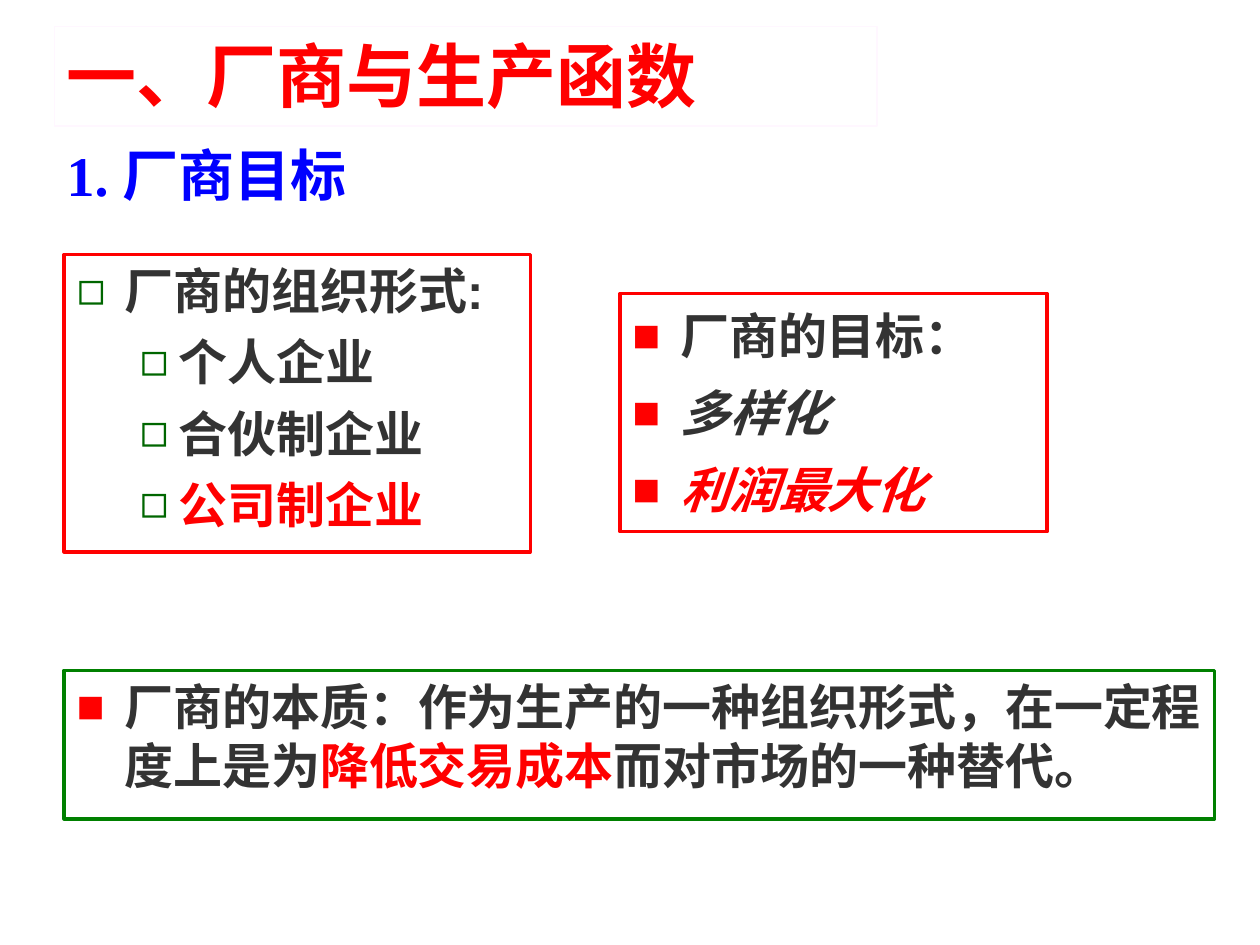
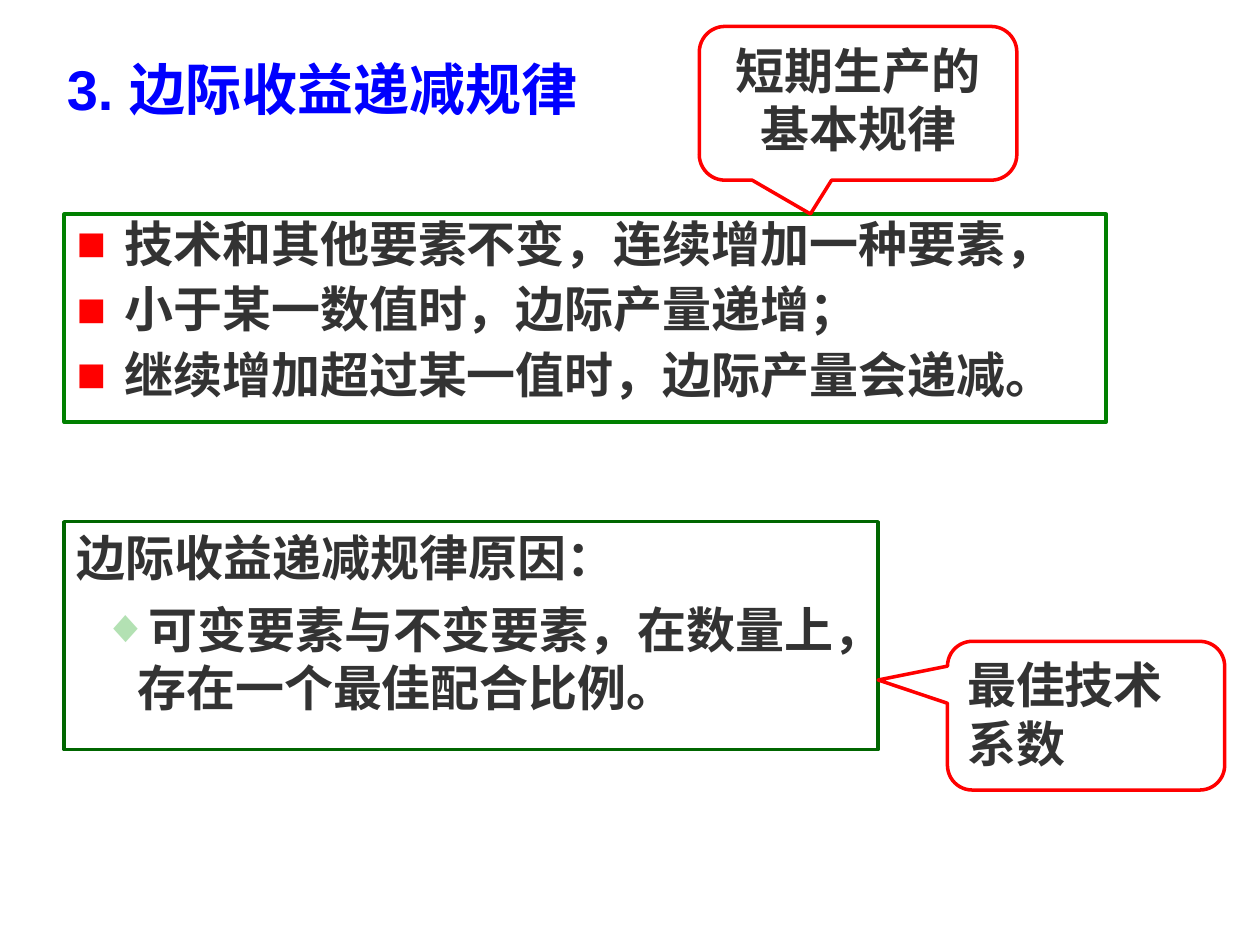
"""Build two slides on the firm, its goals and diminishing marginal returns."""
from dataclasses import dataclass

from lxml import etree
from pptx import Presentation
from pptx.dml.color import RGBColor
from pptx.enum.shapes import MSO_SHAPE
from pptx.enum.text import MSO_ANCHOR, MSO_AUTO_SIZE, PP_ALIGN
from pptx.oxml.ns import qn
from pptx.util import Inches, Pt

RED = RGBColor(0xFF, 0x00, 0x00)
BLUE = RGBColor(0x00, 0x00, 0xFF)
GREEN = RGBColor(0x00, 0x80, 0x00)
DARK_GREEN = RGBColor(0x00, 0x66, 0x00)
PALE_GREEN = RGBColor(0xB3, 0xE1, 0xB3)
CHARCOAL = RGBColor(0x33, 0x33, 0x33)
WHITE = RGBColor(0xFF, 0xFF, 0xFF)
FAINT_PINK = RGBColor(0xFF, 0xF7, 0xFF)

SANS = "Arial"
SERIF = "Times New Roman"
CHINESE = "Noto Sans CJK SC"

RECTANGLE = MSO_SHAPE.RECTANGLE
CALLOUT = MSO_SHAPE.ROUNDED_RECTANGULAR_CALLOUT
TOP, BOTTOM = MSO_ANCHOR.TOP, MSO_ANCHOR.BOTTOM
LEFT, CENTER = PP_ALIGN.LEFT, PP_ALIGN.CENTER
NO_AUTOFIT = MSO_AUTO_SIZE.NONE

TITLE_LEFT = 0.43
BOX_LEFT = 0.51


@dataclass
class Bullet:
    """A bullet character with its colour, indents and relative size."""
    character: str
    color: RGBColor
    left: float = 0.38
    hanging: float = 0.38
    percent: int = 95


@dataclass
class Line:
    """A paragraph made of (text, colour) pieces."""
    pieces: list
    bullet: Bullet = None
    level: int = 0
    italic: bool = False


HOLLOW = Bullet("◻", DARK_GREEN)
HOLLOW_INNER = Bullet("◻", DARK_GREEN, 0.81, 0.31)
SQUARE = Bullet("■", RED)
FULL_SQUARE = Bullet("■", RED, percent=100)
DIAMOND = Bullet("◆", PALE_GREEN, 0.48, 0.28)


def plain(text, bullet=None, color=CHARCOAL, **options):
    """Return a line of one colour."""
    return Line([(text, color)], bullet, **options)


class Deck:
    """Holds the shared style and the current slide."""

    def __init__(self):
        """Start an empty 4:3 presentation."""
        self.presentation = Presentation()
        self.presentation.slide_width = Inches(10)
        self.presentation.slide_height = Inches(7.5)
        self.slide = None

    def add_slide(self):
        """Add a title and content slide and make it current."""
        layout = self.presentation.slide_layouts[1]
        self.slide = self.presentation.slides.add_slide(layout)

    def place(self, shape, area):
        """Move a shape to left, top, width and height in inches."""
        shape.left, shape.top, shape.width, shape.height = map(Inches, area)

    def outline(self, shape, color, width=2):
        """Give a shape a white fill and a coloured line."""
        shape.fill.solid()
        shape.fill.fore_color.rgb = WHITE
        shape.line.color.rgb = color
        shape.line.width = Pt(width)

    def set_bullet(self, paragraph, bullet):
        """Set the indents and bullet of a paragraph."""
        properties = paragraph._p.get_or_add_pPr()
        properties.set("marL", str(Inches(bullet.left) if bullet else 0))
        properties.set("indent", str(-Inches(bullet.hanging) if bullet else 0))
        if bullet is None:
            etree.SubElement(properties, qn("a:buNone"))
            return
        color = etree.SubElement(properties, qn("a:buClr"))
        etree.SubElement(color, qn("a:srgbClr"), val=str(bullet.color))
        etree.SubElement(properties, qn("a:buSzPct"), val=str(bullet.percent * 1000))
        etree.SubElement(properties, qn("a:buFont"), typeface=SANS)
        etree.SubElement(properties, qn("a:buChar"), char=bullet.character)

    def set_lines(self, shape, lines, font, size=28, anchor=TOP, align=LEFT, spacing=1.0):
        """Fill a shape with formatted lines."""
        frame = shape.text_frame
        frame.word_wrap = True
        frame.auto_size = NO_AUTOFIT
        frame.vertical_anchor = anchor
        frame.margin_left = frame.margin_right = Inches(0.1)
        frame.margin_top = frame.margin_bottom = Inches(0.05)
        for index, line in enumerate(lines):
            paragraph = frame.add_paragraph() if index else frame.paragraphs[0]
            self.set_bullet(paragraph, line.bullet)
            paragraph.level = line.level
            paragraph.alignment = align
            paragraph.line_spacing = spacing
            paragraph.space_before = Pt(7 if index else 0)
            for text, color in line.pieces:
                run = paragraph.add_run()
                run.text = text
                run.font.name = font
                run.font.size = Pt(size)
                run.font.bold = True
                run.font.italic = line.italic
                run.font.color.rgb = color
                etree.SubElement(run._r.get_or_add_rPr(), qn("a:ea"), typeface=CHINESE)

    def title(self, text, area, size, color, anchor=TOP):
        """Fill the title placeholder and return it."""
        shape = self.slide.shapes.title
        self.place(shape, area)
        self.set_lines(shape, [plain(text, color=color)], SANS, size, anchor)
        return shape

    def body(self, lines, area, border, font):
        """Fill the body placeholder as a bordered list."""
        shape = self.slide.placeholders[1]
        self.place(shape, area)
        self.outline(shape, border)
        self.set_lines(shape, lines, font)

    def subtitle(self, text, area):
        """Add a blue section heading."""
        shape = self.slide.shapes.add_textbox(*map(Inches, area))
        self.set_lines(shape, [plain(text, color=BLUE)], SERIF, 32, BOTTOM)

    def box(self, lines, area, border, font=SERIF, kind=RECTANGLE, **options):
        """Add a bordered shape with text and return it."""
        shape = self.slide.shapes.add_shape(kind, *map(Inches, area))
        shape.shadow.inherit = False
        self.outline(shape, border)
        self.set_lines(shape, lines, font, **options)
        return shape

    def callout(self, text, area, tip, align=LEFT):
        """Add a red speech bubble whose tip is relative to its centre."""
        shape = self.box([plain(text)], area, RED, kind=CALLOUT, align=align)
        shape.adjustments[0], shape.adjustments[1] = tip


def build_firm_slide(deck):
    """Build the slide on the firm and its goals."""
    deck.add_slide()
    title = deck.title("一、厂商与生产函数", (TITLE_LEFT, 0.21, 6.53, 0.79), 40, RED)
    deck.outline(title, FAINT_PINK, 0.75)
    deck.body(
        [
            plain("厂商的组织形式:", HOLLOW),
            plain("个人企业", HOLLOW_INNER, level=1),
            plain("合伙制企业", HOLLOW_INNER, level=1),
            plain("公司制企业", HOLLOW_INNER, RED, level=1),
        ],
        (BOX_LEFT, 2.02, 3.7, 2.36), RED, SANS,
    )
    essence = Line(
        [
            ("厂商的本质：作为生产的一种组织形式，在一定程度上是为", CHARCOAL),
            ("降低交易成本", RED),
            ("而对市场的一种替代。", CHARCOAL),
        ],
        SQUARE,
    )
    deck.box([essence], (BOX_LEFT, 5.32, 9.13, 1.18), GREEN)
    deck.subtitle("1. 厂商目标", (TITLE_LEFT, 1.07, 6.53, 0.63))
    deck.box(
        [
            plain("厂商的目标：", SQUARE),
            plain("多样化", SQUARE, level=1, italic=True),
            plain("利润最大化", SQUARE, RED, level=1, italic=True),
        ],
        (4.92, 2.33, 3.39, 1.89), RED, spacing=1.1,
    )


def build_returns_slide(deck):
    """Build the slide on diminishing marginal returns."""
    deck.add_slide()
    deck.title("3. 边际收益递减规律", (TITLE_LEFT, 0.44, 6.69, 0.58), 32, BLUE, BOTTOM)
    rules = (
        "技术和其他要素不变，连续增加一种要素，",
        "小于某一数值时，边际产量递增；",
        "继续增加超过某一值时，边际产量会递减。",
    )
    deck.box(
        [plain(rule, FULL_SQUARE) for rule in rules],
        (BOX_LEFT, 1.7, 8.27, 1.65), GREEN, CHINESE, spacing=0.9,
    )
    deck.body(
        [
            plain("边际收益递减规律原因："),
            plain("可变要素与不变要素，在数量上，存在一个最佳配合比例。", DIAMOND, level=1),
        ],
        (BOX_LEFT, 4.14, 6.46, 1.81), DARK_GREEN, CHINESE,
    )
    deck.callout("最佳技术系数", (7.52, 5.09, 2.2, 1.18), (-0.75, -0.24))
    deck.callout("短期生产的基本规律", (5.55, 0.21, 2.52, 1.22), (-0.15, 0.72), CENTER)


def main():
    """Build and save the presentation."""
    deck = Deck()
    build_firm_slide(deck)
    build_returns_slide(deck)
    deck.presentation.save("out.pptx")


if __name__ == "__main__":
    main()
